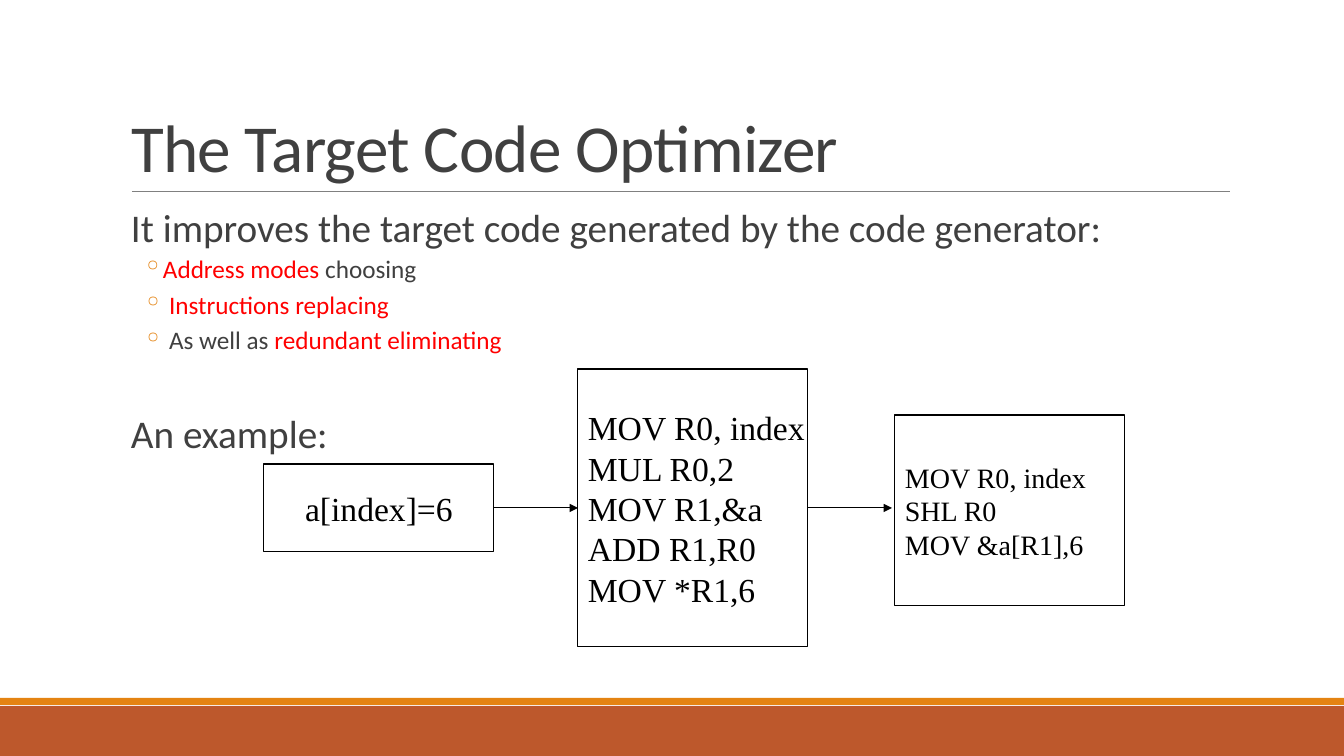
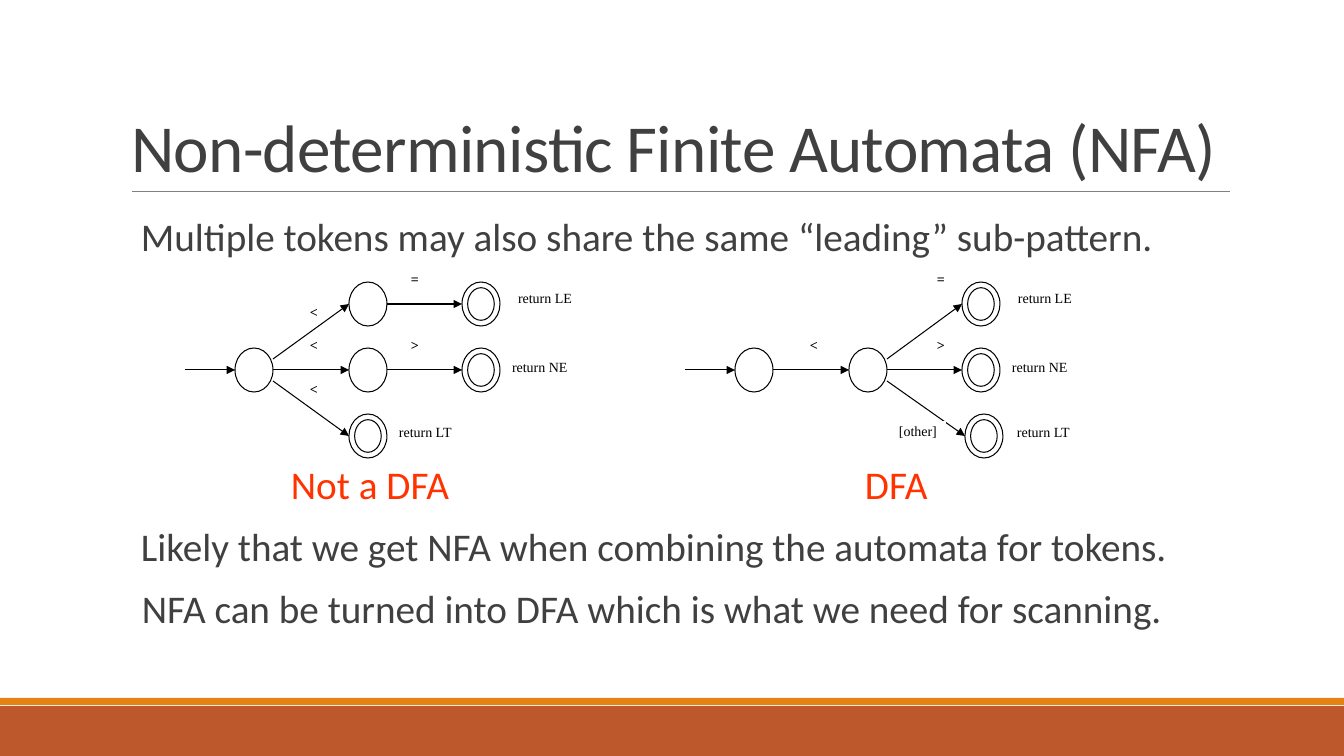
from lxml.etree import SubElement
from pptx import Presentation
from pptx.dml.color import RGBColor
from pptx.enum.shapes import MSO_CONNECTOR, MSO_SHAPE
from pptx.enum.text import MSO_ANCHOR, MSO_AUTO_SIZE, PP_ALIGN
from pptx.oxml.ns import qn
from pptx.util import Emu, Pt

SCALE = 914400 / 100.8
RUST = RGBColor(0xBD, 0x58, 0x2C)
ORANGE = RGBColor(0xE4, 0x83, 0x12)
RULE_GRAY = RGBColor(0x80, 0x80, 0x80)
DARK = RGBColor(0x40, 0x40, 0x40)
RED = RGBColor(0xFF, 0, 0)
CAPTION_RED = RGBColor(0xFF, 0x33, 0)
BLACK = RGBColor(0, 0, 0)
WHITE = RGBColor(0xFF, 0xFF, 0xFF)
SANS, SERIF = "Calibri", "Times New Roman"

TOP_LEVEL = {"line_spacing": 0.9, "space_before": Pt(12), "space_after": Pt(2)}
SUB_LEVEL = {"line_spacing": 0.9, "space_before": Pt(2), "space_after": Pt(4)}
FLUSH = {"margin_left": 0, "margin_right": 0}
NO_INSET = {**FLUSH, "margin_top": 0, "margin_bottom": 0}

STATE_W, STATE_H = 38, 44
COLUMNS = (50, 164, 277)
ROWS = (34, 100, 166)
BRANCH = 11

NFA = {
    "states": {"start": (50, 1), "le": (164, 0), "ne": (164, 1)},
    "finals": {"LE": (277, 0), "NE": (277, 1), "LT": (164, 2)},
    "edges": [("start", "le"), ("start", "ne"), ("start", "LT"), ("le", "LE"), ("ne", "NE")],
    "signs": [("<", 125, 34), ("<", 125, 67), ("<", 125, 111), ("=", 226, 1), (">", 226, 67)],
    "outcomes": [("return LE", 333, 20, 89, 22), ("return NE", 327, 89, 89, 22),
                 ("return LT", 214, 154, 89, 22)],
    "caption": ("Not a DFA", 106),
}
DFA = {
    "states": {"start": (50, 1), "less": (164, 1)},
    "finals": {"LE": (277, 0), "NE": (277, 1), "LT": (280, 2)},
    "edges": [("start", "less"), ("less", "LE"), ("less", "NE"), ("less", "LT")],
    "signs": [("<", 125, 67), ("=", 252, 1), (">", 252, 67)],
    "outcomes": [("return LE", 333, 20, 89, 22), ("return NE", 327, 89, 89, 22),
                 ("return LT", 332, 154, 89, 22), ("[other]", 214, 152, 47, 31)],
    "caption": ("DFA", 180),
}


def px(*lengths):
    """Turn px lengths into EMU."""
    return [Emu(round(length * SCALE)) for length in lengths]


def apply(target, formats):
    """Set each format value on the target."""
    for name, value in formats.items():
        setattr(target, name, value)


def add_run(paragraph, text, size, color, font=SANS, bold=False):
    """Append one formatted run."""
    run = paragraph.add_run()
    run.text = text
    apply(run.font, {"name": font, "size": Pt(size), "bold": bold})
    run.font.color.rgb = color
    return run


def add_outline(shapes, kind, box, fill=WHITE, edge=BLACK):
    """Add a flat preset shape; without an edge colour it has no line."""
    outline = shapes.add_shape(kind, *px(*box))
    outline.shadow.inherit = False
    outline.fill.solid()
    outline.fill.fore_color.rgb = fill
    if edge is None:
        outline.line.fill.background()
    else:
        outline.line.color.rgb = edge
        outline.line.width = Pt(0.75)
    return outline


def add_line(shapes, start, end, color=BLACK, width=0.75, arrow=True):
    """Add a straight line, with an arrowhead at its end if wanted."""
    line = shapes.add_connector(MSO_CONNECTOR.STRAIGHT, *px(*start, *end))
    line.line.color.rgb = color
    line.line.width = Pt(width)
    properties = line.element.spPr
    if arrow:
        SubElement(properties.find(qn("a:ln")), qn("a:tailEnd"), type="triangle")
    SubElement(properties, qn("a:effectLst"))
    return line


def add_frame(layout, slide):
    """Draw the bands and the title rule, then hand them to the layout."""
    parts = [
        add_outline(slide.shapes, MSO_SHAPE.RECTANGLE, (0, 706, 1344, 50), RUST, None),
        add_outline(slide.shapes, MSO_SHAPE.RECTANGLE, (0, 698, 1344, 7), ORANGE, None),
        add_line(slide.shapes, (132, 191), (1230, 191), RULE_GRAY, 0.5, arrow=False),
    ]
    for number, part in enumerate(parts, start=101):
        part.element.find(".//" + qn("p:cNvPr")).set("id", str(number))
        layout.shapes.element.append(part.element)


def add_title(slide, text):
    """Place and format the title placeholder."""
    title = slide.shapes.title
    apply(title, dict(zip(("left", "top", "width", "height"), px(121, 31, 1109, 160))))
    apply(title.text_frame, {"vertical_anchor": MSO_ANCHOR.BOTTOM, "word_wrap": True,
                             "auto_size": MSO_AUTO_SIZE.NONE})
    heading = title.text_frame.paragraphs[0]
    apply(heading, {"alignment": PP_ALIGN.LEFT, "line_spacing": 0.85})
    add_run(heading, text, 48, DARK).font._element.set("spc", "-50")


def add_body(shapes, box, entries):
    """Fill a text box from (runs, size, format, margin, hang) entries."""
    frame = shapes.add_textbox(*px(*box)).text_frame
    apply(frame, {"word_wrap": True, **FLUSH})
    for index, (runs, size, formats, margin, hang) in enumerate(entries):
        paragraph = frame.add_paragraph() if index else frame.paragraphs[0]
        apply(paragraph, formats)
        for text, color in runs:
            add_run(paragraph, text, size, color)
        properties = paragraph._p.get_or_add_pPr()
        for name, length in zip(("marL", "indent"), px(margin, -hang)):
            properties.set(name, str(length))
        if hang:
            color = SubElement(properties, qn("a:buClr"))
            SubElement(color, qn("a:srgbClr"), val=str(ORANGE))
            SubElement(properties, qn("a:buChar"), char="◦")


def add_code_box(shapes, box, lines, size, alignment=PP_ALIGN.LEFT):
    """Add a framed block of code lines."""
    code = add_outline(shapes, MSO_SHAPE.RECTANGLE, box)
    frame = code.text_frame
    apply(frame, {"word_wrap": False, "vertical_anchor": MSO_ANCHOR.MIDDLE})
    for index, line in enumerate(lines):
        paragraph = frame.add_paragraph() if index else frame.paragraphs[0]
        paragraph.alignment = alignment
        add_run(paragraph, line, size, BLACK, SERIF)
    return code


def add_label(shapes, box, text, bold=False):
    """Add a small label on a white ground."""
    label = add_outline(shapes, MSO_SHAPE.RECTANGLE, box, edge=WHITE)
    apply(label.text_frame, {"word_wrap": True, "vertical_anchor": MSO_ANCHOR.TOP, **NO_INSET})
    paragraph = label.text_frame.paragraphs[0]
    paragraph.alignment = PP_ALIGN.LEFT
    add_run(paragraph, text, 10, BLACK, SERIF, bold)


def add_automaton(slide, left, top, automaton):
    """Draw one automaton as a group, with its caption below."""
    shapes = slide.shapes.add_group_shape().shapes
    places = {**automaton["states"], **automaton["finals"]}
    for sign, x, y in automaton["signs"]:
        add_label(shapes, (left + x, top + y, 25, 22), sign, bold=True)
    entry_y = top + ROWS[1]
    add_line(shapes, (left, entry_y), (left + COLUMNS[0], entry_y))
    for source, target in automaton["edges"]:
        (x1, row1), (x2, row2) = places[source], places[target]
        add_line(shapes,
                 (left + x1 + STATE_W, top + ROWS[row1] + BRANCH * (row2 - row1)),
                 (left + x2, top + ROWS[row2]))
    for name, (x, row) in places.items():
        final = name in automaton["finals"]
        kind = MSO_SHAPE.DONUT if final else MSO_SHAPE.OVAL
        state = add_outline(shapes, kind, (left + x, top + ROWS[row] - STATE_H // 2,
                                           STATE_W, STATE_H))
        if final:
            state.adjustments[0] = 0.15
    for text, x, y, width, height in automaton["outcomes"]:
        add_label(shapes, (left + x, top + y, width, height), text)
    text, x = automaton["caption"]
    add_body(slide.shapes, (left + x, top + 191, 200, 54),
             [([(text, CAPTION_RED)], 28, TOP_LEVEL, 0, 0)])


def fill_optimizer_slide(slide):
    """Build the slide on the target code optimizer."""
    add_title(slide, "The Target Code Optimizer")
    add_body(slide.shapes, (121, 204, 1109, 444), [
        ([("It improves the target code generated by the code generator:", DARK)],
         28, TOP_LEVEL, 10, 0),
        ([("Address modes", RED), (" choosing", DARK)], 18, SUB_LEVEL, 42, 20),
        ([("Instructions replacing", RED)], 18, SUB_LEVEL, 48, 26),
        ([("As well as ", DARK), ("redundant eliminating", RED)], 18, SUB_LEVEL, 48, 26),
        ([("An example:", DARK)], 28, {**TOP_LEVEL, "space_before": Pt(38)}, 10, 0),
    ])
    statement = add_code_box(slide.shapes, (264, 464, 230, 88), ["a[index]=6"], 24,
                             PP_ALIGN.CENTER)
    generated = add_code_box(
        slide.shapes, (578, 369, 230, 278),
        ["MOV R0, index", "MUL R0,2", "MOV R1,&a", "ADD R1,R0", "MOV *R1,6"], 24)
    generation = add_line(slide.shapes, (494, 508), (578, 508))
    generation.begin_connect(statement, 3)
    generation.end_connect(generated, 1)
    add_code_box(slide.shapes, (895, 415, 230, 191),
                 ["MOV R0, index", "SHL R0", "MOV &a[R1],6"], 20)
    optimization = add_line(slide.shapes, (808, 508), (892, 508))
    optimization.begin_connect(generated, 3)


def fill_automata_slide(slide):
    """Build the slide that compares an NFA with a DFA."""
    add_title(slide, "Non-deterministic Finite Automata (NFA)")
    add_body(slide.shapes, (132, 213, 1098, 448), [
        ([("Multiple tokens may also share the same “leading” sub-pattern.", DARK)],
         28, TOP_LEVEL, 9, 0),
        ([("Likely that we get NFA when combining the automata for tokens.", DARK)],
         28, {**TOP_LEVEL, "space_before": Pt(189)}, 9, 0),
        ([("NFA can be turned into DFA which is what we need for scanning.", DARK)],
         28, TOP_LEVEL, 10, 0),
    ])
    for left, automaton in ((185, NFA), (685, DFA)):
        add_automaton(slide, left, 270, automaton)


def main():
    """Build and save the presentation."""
    presentation = Presentation()
    presentation.slide_width, presentation.slide_height = px(1344, 756)
    layout = presentation.slide_layouts[5]
    optimizer, automata = (presentation.slides.add_slide(layout) for _ in range(2))
    add_frame(layout, optimizer)
    fill_optimizer_slide(optimizer)
    fill_automata_slide(automata)
    presentation.save("out.pptx")


if __name__ == "__main__":
    main()
